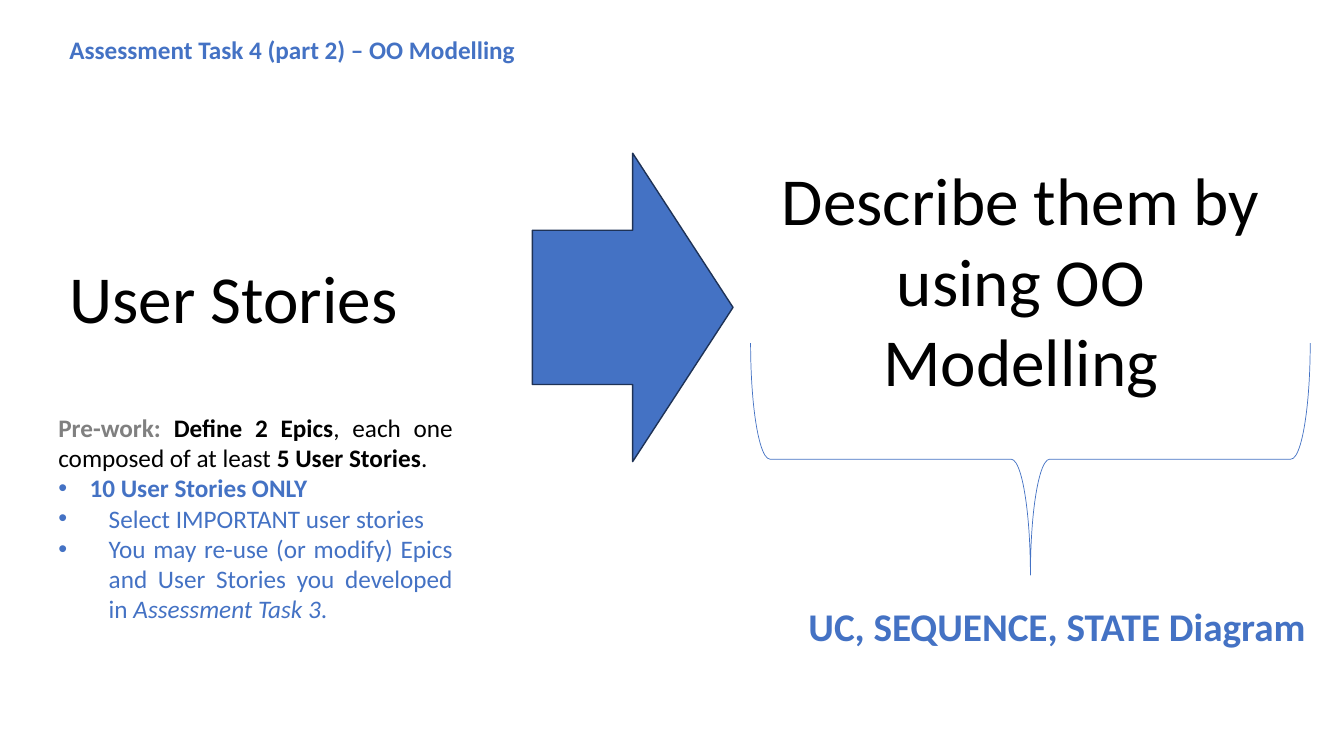
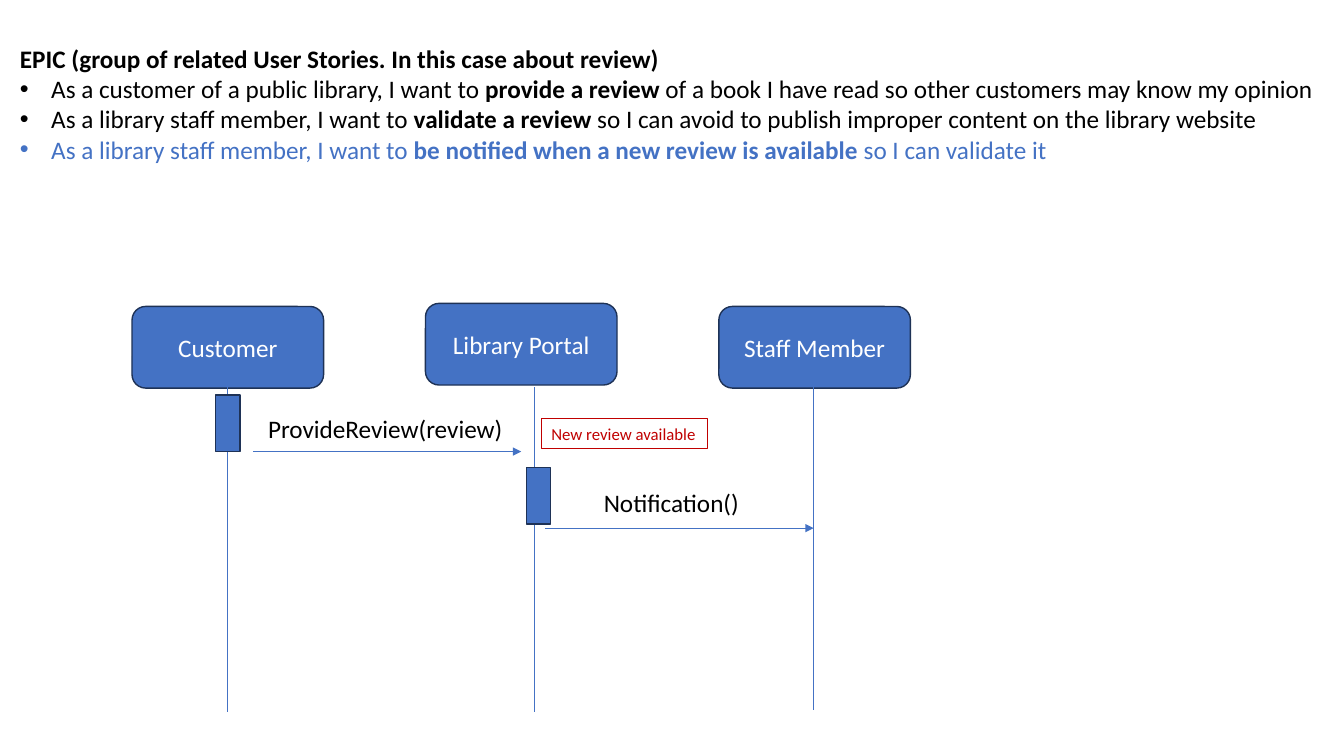
"""Build two slides about object-oriented modelling of user stories."""
from lxml import etree
from pptx import Presentation
from pptx import util as u
from pptx.dml.color import RGBColor
from pptx.enum import shapes, text
from pptx.oxml.ns import qn

COLORS = {"blue": "4472C4", "navy": "1E3256", "black": "000000",
          "gray": "808080", "white": "FFFFFF", "red": "C00000"}
FONT = "Calibri"
LEFT, CENTER, JUSTIFY = (text.PP_ALIGN.LEFT, text.PP_ALIGN.CENTER,
                         text.PP_ALIGN.JUSTIFY)
SHAPE = shapes.MSO_SHAPE


def rgb(name):
    return RGBColor.from_string(COLORS[name])


class Deck:
    """Hold the shared style and the current slide."""

    def __init__(self):
        self.prs = Presentation()
        self.prs.slide_width = u.Inches(13.33)
        self.prs.slide_height = u.Inches(7.5)
        self.slide = None

    def new_slide(self):
        self.slide = self.prs.slides.add_slide(self.prs.slide_layouts[6])

    def add_text(self, frame, paragraphs, size, color, align):
        for number, (indent, runs) in enumerate(paragraphs):
            para = frame.paragraphs[0] if number == 0 else frame.add_paragraph()
            para.alignment = align
            if indent:
                self.bullet(para, indent)
            for words, style, *own_color in runs:
                run = para.add_run()
                run.text = words
                font = run.font
                font.name, font.size = FONT, u.Pt(size)
                font.bold, font.italic = "b" in style, "i" in style
                font.color.rgb = rgb(own_color[0] if own_color else color)

    def bullet(self, para, indent):
        props = para._p.get_or_add_pPr()
        props.set("marL", str(u.Inches(indent)))
        props.set("indent", str(-u.Inches(indent)))
        etree.SubElement(props, qn("a:buFont")).set("typeface", "Arial")
        etree.SubElement(props, qn("a:buChar")).set("char", "•")

    def textbox(self, box, paragraphs, size=18, color="black", align=LEFT,
                wrap=False):
        frame = self.slide.shapes.add_textbox(*map(u.Inches, box)).text_frame
        frame.word_wrap = wrap
        frame.auto_size = text.MSO_AUTO_SIZE.SHAPE_TO_FIT_TEXT
        self.add_text(frame, paragraphs, size, color, align)

    def label(self, box, words, size=18, color="black", style="", **layout):
        self.textbox(box, [(0, [(words, style)])], size, color, **layout)

    def shape(self, kind, box, fill="blue", line="navy", weight=1, words="",
              size=18, color="white", align=CENTER):
        item = self.slide.shapes.add_shape(kind, *map(u.Inches, box))
        item.shadow.inherit = False
        if fill:
            item.fill.solid()
            item.fill.fore_color.rgb = rgb(fill)
        else:
            item.fill.background()
        item.line.color.rgb = rgb(line)
        item.line.width = u.Pt(weight)
        if words:
            item.text_frame.vertical_anchor = text.MSO_ANCHOR.MIDDLE
            self.add_text(item.text_frame, [(0, [(words, "")])], size, color,
                          align)
        return item

    def line(self, start, end, arrow=False):
        link = self.slide.shapes.add_connector(
            shapes.MSO_CONNECTOR.STRAIGHT, *map(u.Inches, (*start, *end)))
        link.line.color.rgb = rgb("blue")
        link.line.width = u.Pt(0.5)
        if arrow:
            outline = link.line._get_or_add_ln()
            etree.SubElement(outline, qn("a:tailEnd")).set("type", "triangle")
        etree.SubElement(link._element.spPr, qn("a:effectLst"))


def build_task(deck):
    deck.new_slide()
    deck.label((0.59, 0.29, 6.67, 0.4),
               "Assessment Task 4 (part 2) – OO Modelling",
               color="blue", style="b", wrap=True)
    deck.label((0.59, 2.49, 3.49, 0.91), "User Stories", 48)
    deck.shape(SHAPE.RIGHT_ARROW, (5.28, 1.52, 1.99, 3.06))
    deck.label((7.4, 1.52, 5.45, 2.52), "Describe them by using OO Modelling",
               48, align=CENTER, wrap=True)
    brace = deck.shape(SHAPE.LEFT_BRACE, (9.07, 1.78, 2.3, 5.55),
                       fill=None, line="blue", weight=0.5)
    brace.rotation = 270
    deck.label((7.92, 5.93, 5.19, 0.57), "UC, SEQUENCE, STATE Diagram",
               28, "blue", "b")
    deck.textbox((0.48, 4.04, 4.11, 2.52), [
        (0, [("Pre-work: ", "b", "gray"), ("Define 2 Epics", "b", "black"),
             (", each one composed of at least ", "", "black"),
             ("5 User Stories", "b", "black"), (". ", "", "black")]),
        (0.31, [("10 User Stories ONLY", "b")]),
        (0.5, [("Select IMPORTANT user stories", "")]),
        (0.5, [("You may re-use (or modify) Epics and User Stories "
                "you developed in ", ""),
               ("Assessment Task 3", "i"), (". ", "")]),
    ], color="blue", align=JUSTIFY, wrap=True)


def build_sequence(deck):
    deck.new_slide()
    stories = [
        ("As a customer of a public library, I want to ", "provide a review ",
         "of a book I have read so other customers may know my opinion",
         "black"),
        ("As a library staff member, I want to ", "validate a review ",
         "so I can avoid to publish improper content on the library website",
         "black"),
        ("As a library staff member, I want to ",
         "be notified when a new review is available ",
         "so I can validate it", "blue"),
    ]
    epic = [(0, [("EPIC (group of related User Stories. "
                  "In this case about review)", "b")])]
    epic += [(0.31, [(role, "", color), (goal, "b", color), (why, "", color)])
             for role, goal, why, color in stories]
    deck.textbox((0.1, 0.38, 13.17, 1.31), epic)

    participants = [("Customer", 3.04, 2.26, 3.84),
                    ("Library Portal", 3.01, 5.3, 3.84),
                    ("Staff Member", 3.04, 8.07, 3.82)]
    for column, (name, top, life_x, life_top) in enumerate(participants):
        deck.shape(SHAPE.ROUNDED_RECTANGLE,
                   (1.31 + 2.91 * column, top, 1.9, 0.81), words=name)
        deck.line((life_x, life_top), (life_x, life_top + 3.22))
    for left, top in ((5.22, 4.64), (2.14, 3.92)):
        deck.shape(SHAPE.RECTANGLE, (left, top, 0.24, 0.56))

    messages = [("ProvideReview(review)", (2.56, 4.05, 2.55, 0.4), 2.51, 4.48),
                ("Notification()", (5.89, 4.79, 1.56, 0.4), 5.41, 5.24)]
    for call, box, start, y in messages:
        deck.line((start, y), (start + 2.66, y), arrow=True)
        deck.label(box, call)
    event = deck.shape(SHAPE.RECTANGLE, (5.37, 4.15, 1.65, 0.3), fill=None,
                       line="red", weight=0.75, words="New review available",
                       size=12, color="red", align=LEFT)
    event.text_frame.word_wrap = False


def main():
    deck = Deck()
    build_task(deck)
    build_sequence(deck)
    deck.prs.save("out.pptx")


if __name__ == "__main__":
    main()
